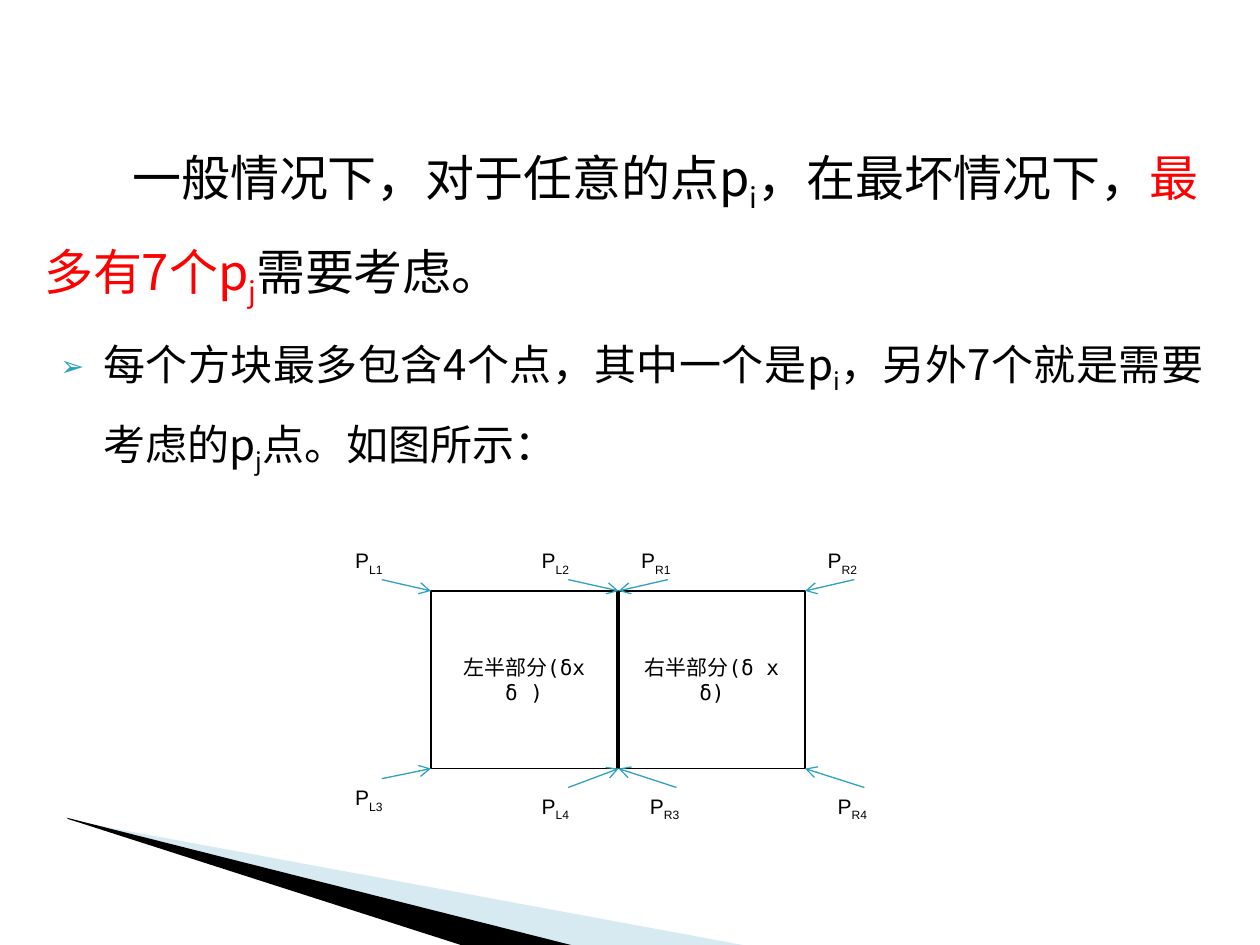
from dataclasses import dataclass
from typing import Any

from lxml import etree
from pptx import Presentation
from pptx import util as u
from pptx.dml.color import RGBColor
from pptx.enum import shapes, text
from pptx.oxml.ns import qn

COLORS = {"ink": "000000", "red": "FF0000", "teal": "2DA2BF", "pale": "9FCBDC"}
CJK = "Noto Sans CJK SC"
MONO = "DejaVu Sans Mono"
SQUARE_TOP, SQUARE_WIDTH, SQUARE_HEIGHT = 4.69, 1.48, 1.41
COLUMNS = [3.42, 4.91, 6.39]


@dataclass
class Piece:
    words: str
    color: str = "ink"
    subscript: bool = False


@dataclass
class CornerLabel:
    name: str
    left: float
    top: float
    column: int


@dataclass
class Wedge:
    points: list[tuple[float, float]]
    color: str
    opacity: int


WEDGES = [
    Wedge([(0.55, 6.51), (5.95, 7.51), (4.56, 7.51), (0.55, 6.5)], "pale", 40),
    Wedge([(0.53, 6.49), (4.57, 7.51), (3.72, 7.52), (0.54, 6.5)], "ink", 100),
]
CORNER_LABELS = [
    CornerLabel("L1", 2.72, 4.3, 0),
    CornerLabel("L2", 4.2, 4.3, 1),
    CornerLabel("L3", 2.72, 6.18, 0),
    CornerLabel("L4", 4.2, 6.25, 1),
    CornerLabel("R1", 4.99, 4.3, 1),
    CornerLabel("R2", 6.47, 4.3, 2),
    CornerLabel("R3", 5.06, 6.25, 1),
    CornerLabel("R4", 6.55, 6.25, 2),
]
CLAIM = [
    Piece("一般情况下，对于任意的点p"),
    Piece("i", subscript=True),
    Piece("，在最坏情况下，"),
    Piece("最多有7个p", "red"),
    Piece("j", "red", True),
    Piece("需要考虑。"),
]
REASON = [
    Piece("每个方块最多包含4个点，其中一个是p"),
    Piece("i", subscript=True),
    Piece("，另外7个就是需要考虑的p"),
    Piece("j", subscript=True),
    Piece("点。如图所示："),
]


def rgb(name: str) -> RGBColor:
    return RGBColor.from_string(COLORS[name])


def apply(target: Any, formats: dict[str, Any]) -> None:
    for name, value in formats.items():
        setattr(target, name, value)


def add_element(parent: Any, tag: str, **attributes: str) -> Any:
    return etree.SubElement(parent, qn(tag), attributes)


def add_pieces(paragraph: Any, pieces: list[Piece], font: str, size: int) -> None:
    for piece in pieces:
        run = paragraph.add_run()
        run.text = piece.words
        apply(run.font, {"name": font, "size": u.Pt(size)})
        run.font.color.rgb = rgb(piece.color)
        properties = run.font._element
        add_element(properties, "a:ea", typeface=CJK)
        if piece.subscript:
            properties.set("baseline", "-25000")


def set_indent(paragraph: Any, margin: float, indent: float) -> Any:
    properties = paragraph._p.get_or_add_pPr()
    properties.set("marL", str(u.Inches(margin)))
    properties.set("indent", str(u.Inches(indent)))
    return properties


def fill_body(body: Any) -> None:
    apply(body, {
        "left": u.Inches(0.25), "top": u.Inches(0.91),
        "width": u.Inches(9.4), "height": u.Inches(2.99),
    })
    frame = body.text_frame
    apply(frame, {"auto_size": text.MSO_AUTO_SIZE.NONE, "vertical_anchor": text.MSO_ANCHOR.TOP})
    claim, reason = frame.paragraphs[0], frame.add_paragraph()

    add_element(set_indent(claim, 0, 0.7), "a:buNone")
    properties = set_indent(reason, 0.47, -0.34)
    bullet_color = add_element(properties, "a:buClr")
    add_element(bullet_color, "a:srgbClr", val=COLORS["teal"])
    add_element(properties, "a:buSzPct", val="68000")
    add_element(properties, "a:buChar", char="➢")

    apply(claim, {"alignment": text.PP_ALIGN.LEFT, "line_spacing": 1.4, "space_before": u.Pt(0)})
    apply(reason, {"alignment": text.PP_ALIGN.JUSTIFY, "line_spacing": 1.4, "space_before": u.Pt(4)})
    add_pieces(claim, CLAIM, CJK, 28)
    add_pieces(reason, REASON, CJK, 24)


def draw_wedge(slide: Any, wedge: Wedge) -> None:
    points = [(u.Inches(x), u.Inches(y)) for x, y in wedge.points]
    builder = slide.shapes.build_freeform(*points[0])
    builder.add_line_segments(points[1:], close=True)
    shape = builder.convert_to_shape()
    shape.shadow.inherit = False
    shape.line.fill.background()
    shape.fill.solid()
    shape.fill.fore_color.rgb = rgb(wedge.color)
    if wedge.opacity < 100:
        color = shape._element.spPr.find(".//" + qn("a:srgbClr"))
        add_element(color, "a:alpha", val=str(wedge.opacity * 1000))


def draw_square(slide: Any, left: float, caption: str) -> None:
    shape = slide.shapes.add_shape(
        shapes.MSO_SHAPE.RECTANGLE, u.Inches(left), u.Inches(SQUARE_TOP),
        u.Inches(SQUARE_WIDTH), u.Inches(SQUARE_HEIGHT))
    shape.shadow.inherit = False
    shape.fill.background()
    shape.line.color.rgb = rgb("ink")
    shape.line.width = u.Pt(1)
    apply(shape.text_frame, {"word_wrap": True, "vertical_anchor": text.MSO_ANCHOR.MIDDLE})
    paragraph = shape.text_frame.paragraphs[0]
    paragraph.alignment = text.PP_ALIGN.CENTER
    add_pieces(paragraph, [Piece(caption)], MONO, 12)


def draw_corner_label(slide: Any, label: CornerLabel) -> None:
    box = slide.shapes.add_textbox(
        u.Inches(label.left), u.Inches(label.top), u.Inches(0.62), u.Inches(0.33))
    apply(box.text_frame, {"word_wrap": True, "auto_size": text.MSO_AUTO_SIZE.SHAPE_TO_FIT_TEXT})
    pieces = [Piece("P"), Piece(label.name, subscript=True)]
    add_pieces(box.text_frame.paragraphs[0], pieces, "Arial", 12)

    above = label.top < SQUARE_TOP
    start_y = label.top + 0.3 if above else label.top
    corner_y = SQUARE_TOP if above else SQUARE_TOP + SQUARE_HEIGHT
    arrow = slide.shapes.add_connector(
        shapes.MSO_CONNECTOR.STRAIGHT, u.Inches(label.left + 0.31), u.Inches(start_y),
        u.Inches(COLUMNS[label.column]), u.Inches(corner_y))
    arrow.line.color.rgb = rgb("teal")
    arrow.line.width = u.Pt(0.75)
    add_element(arrow.line._get_or_add_ln(), "a:tailEnd", type="arrow")
    add_element(arrow._element.spPr, "a:effectLst")


def main() -> None:
    presentation = Presentation()
    apply(presentation, {"slide_width": u.Inches(10), "slide_height": u.Inches(7.5)})
    slide = presentation.slides.add_slide(presentation.slide_layouts[1])
    title = slide.shapes.title._element
    title.getparent().remove(title)
    for wedge in WEDGES:
        draw_wedge(slide, wedge)
    fill_body(slide.placeholders[1])
    for left, caption in zip(COLUMNS, ["左半部分(δx δ )", "右半部分(δ x δ)"]):
        draw_square(slide, left, caption)
    for label in CORNER_LABELS:
        draw_corner_label(slide, label)
    presentation.save("out.pptx")


if __name__ == "__main__":
    main()
